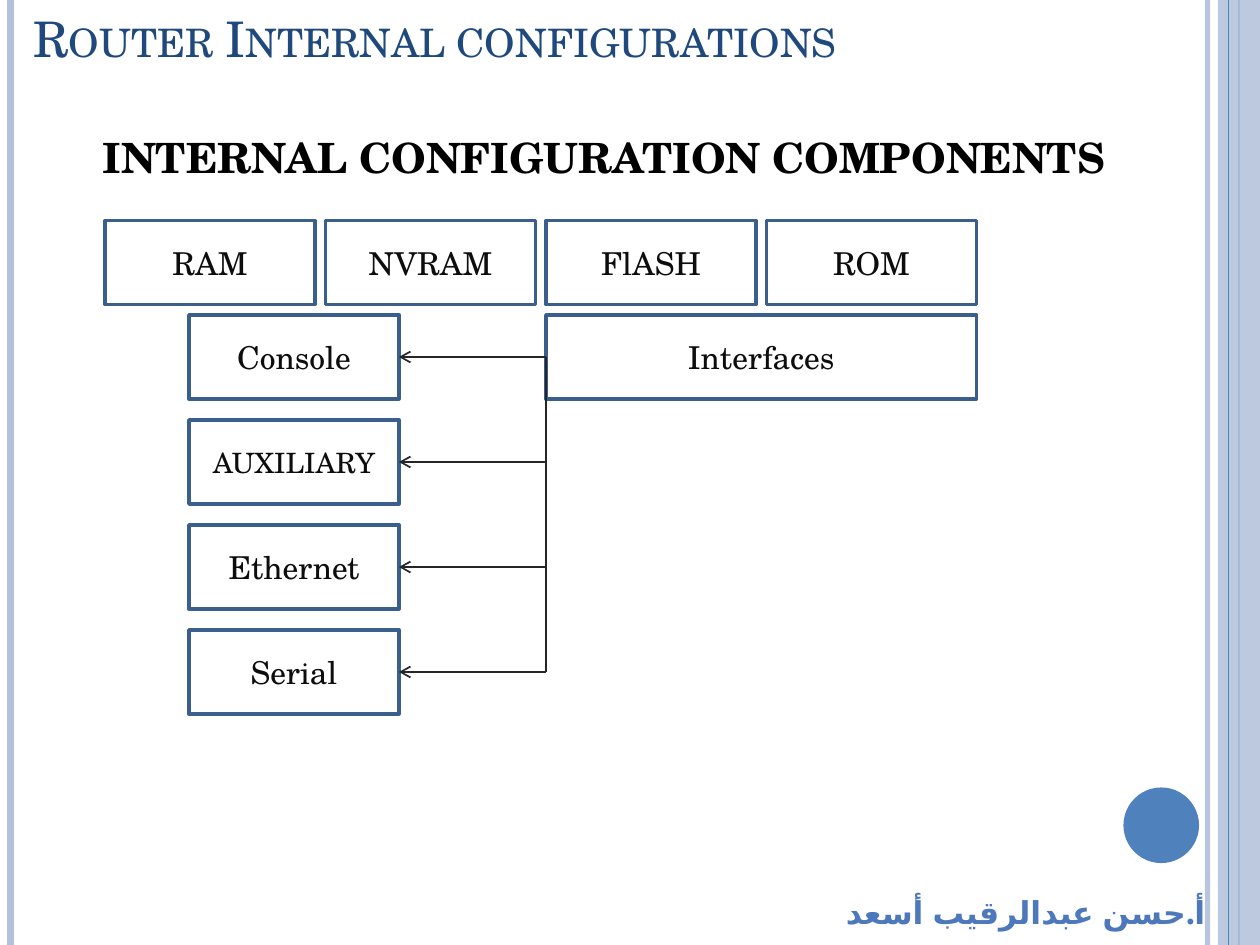
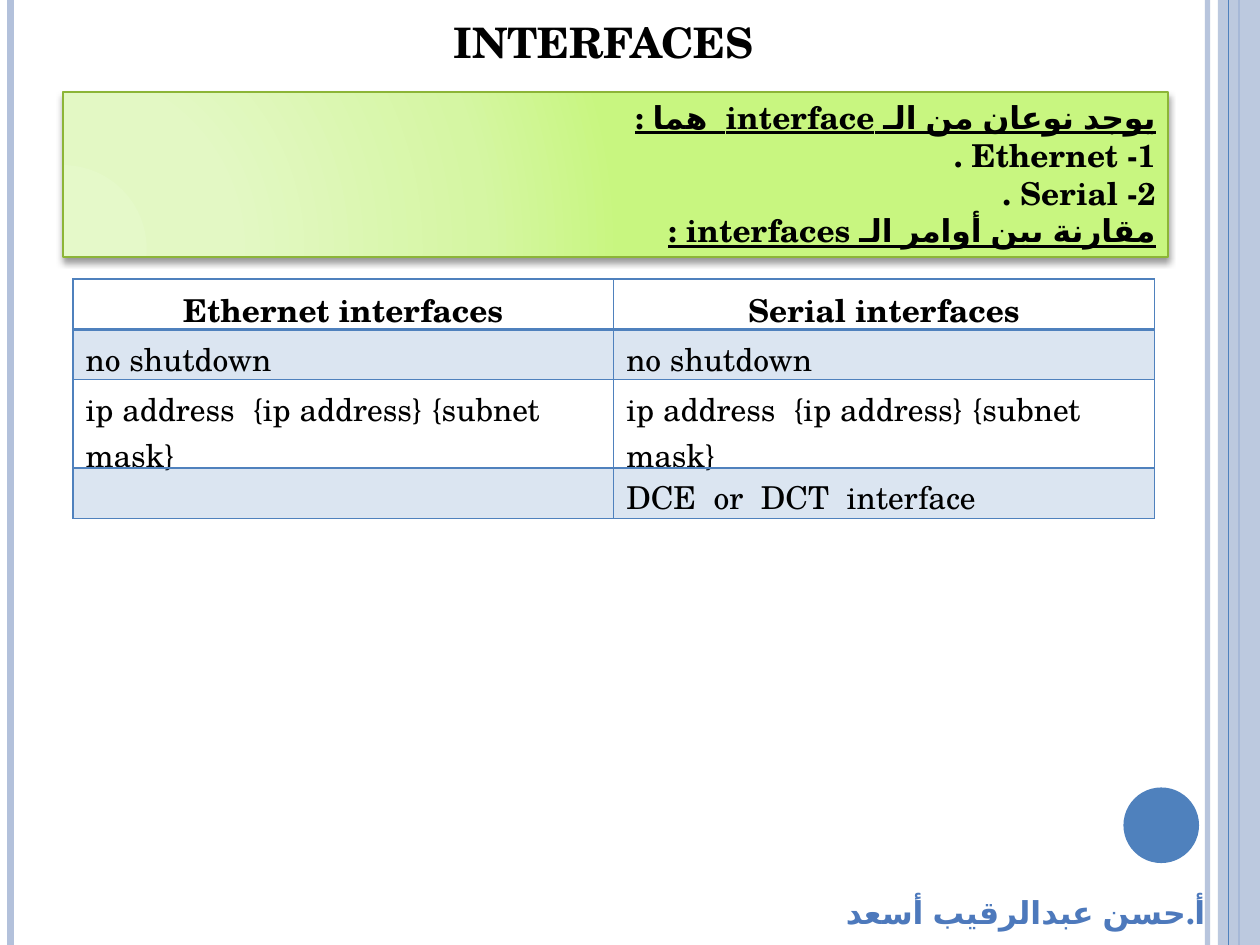
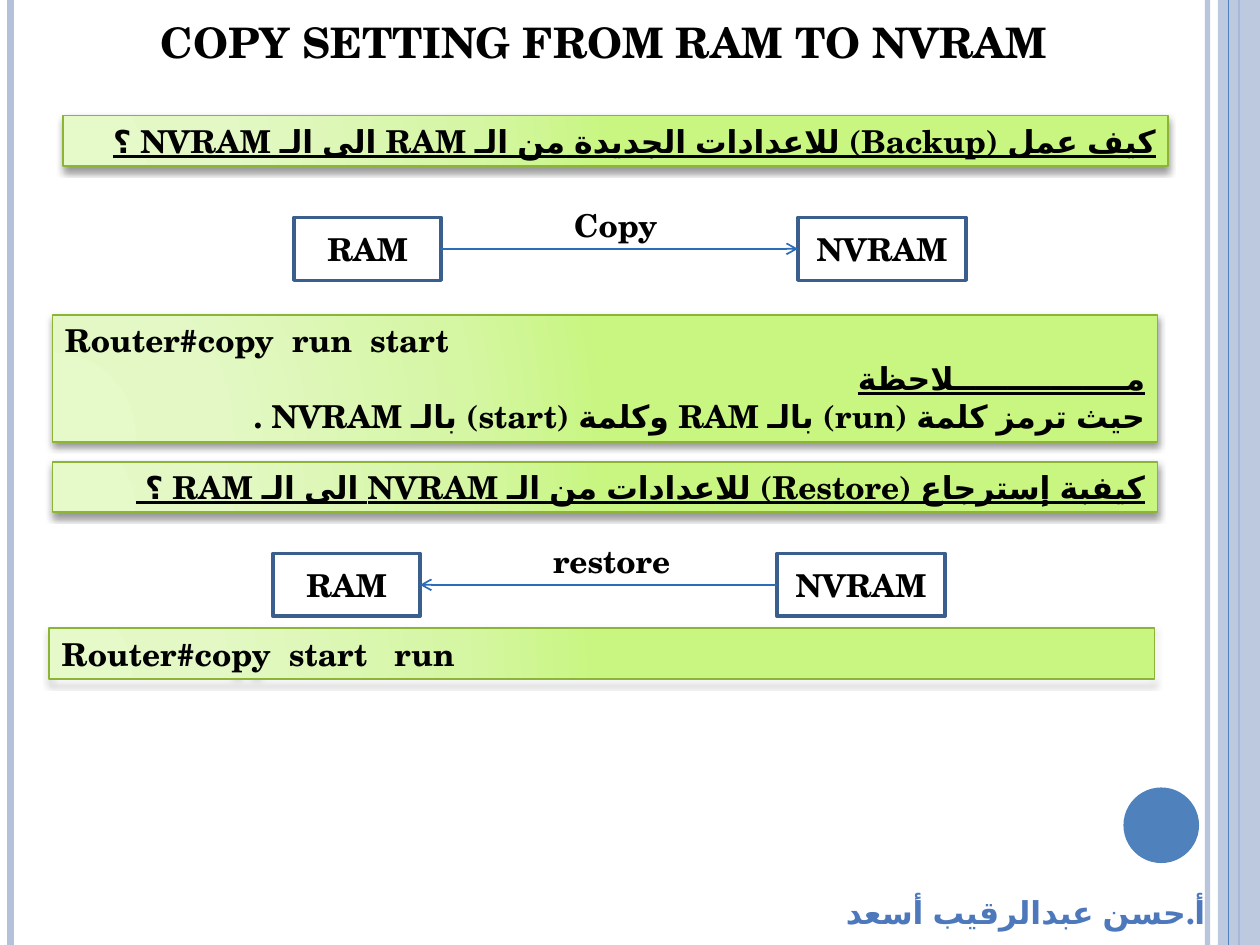
"""Build three slides on the internal configuration of a router."""
from dataclasses import dataclass
from itertools import pairwise
from typing import Any, NamedTuple, Optional

from lxml.etree import SubElement
from pptx import Presentation
from pptx.dml.color import RGBColor
from pptx.enum.shapes import MSO_CONNECTOR as Connector, MSO_SHAPE as Preset
from pptx.enum.text import MSO_ANCHOR as Anchor, MSO_AUTO_SIZE as AutoSize, PP_ALIGN as Align
from pptx.oxml import parse_xml
from pptx.oxml.ns import nsdecls, qn
from pptx.util import Emu, Inches, Pt

SLIDE_WIDTH, SLIDE_HEIGHT = Inches(10), Inches(7.5)
COLUMNS, ROWS = 120, 90
FONT = "TeX Gyre Schola"
AUTHOR = "أ.حسن عبدالرقيب أسعد"
COLORS = {
    "band": "B3C1DB",
    "accent": "4F81BD",
    "title": "1F497D",
    "black": "000000",
    "box_text": "0D0D0D",
    "box_line": "3A5F8C",
    "bus": "262626",
    "transfer": "2C6CB9",
    "author": "4D79BC",
    "panel_line": "8CB537",
}
PANEL_STOPS = {0: "E5F9C9", 30: "E3F8C4", 75: "D5F6A3", 100: "C8F680"}


class Point(NamedTuple):
    """A place on the slide grid."""

    column: float
    row: float

    def emu(self) -> tuple[Emu, Emu]:
        """Return the place as lengths."""
        return Emu(round(self.column * SLIDE_WIDTH / COLUMNS)), Emu(round(self.row * SLIDE_HEIGHT / ROWS))


class Box(NamedTuple):
    """A rectangle on the slide grid."""

    column: float
    row: float
    width: float
    height: float

    def emu(self) -> tuple[Emu, ...]:
        """Return left, top, width and height as lengths."""
        return *Point(self.column, self.row).emu(), *Point(self.width, self.height).emu()


@dataclass(frozen=True)
class TextStyle:
    """The look of a run of text."""

    size: float = 18
    color: str = "black"
    bold: bool = True


class PanelLine(NamedTuple):
    """One right-to-left paragraph of a panel."""

    text: str
    underline: bool = False
    align: Align = Align.RIGHT


class Stripe(NamedTuple):
    """A vertical line of the slide frame."""

    column: float
    color: str
    width: float
    alpha: int = 100


class Transfer(NamedTuple):
    """A labelled arrow between two memories."""

    label: str
    column: float
    row: float
    label_box: Box
    arrow: str


BODY = TextStyle()
PLAIN = TextStyle(bold=False)
HEADING = TextStyle(24)
HEADING_BOX = Box(7, 0, 101, 7)
STRIPES_BELOW_BAND = (
    Stripe(115, "band", 3, 93),
    Stripe(1, "band", 4.5),
    Stripe(118, "accent", 1.5),
)
STRIPES_ABOVE_BAND = (Stripe(117, "accent", 0.75),)


def rgb(name: str) -> RGBColor:
    """Look up a named colour."""
    return RGBColor.from_string(COLORS[name])


def set_alpha(element: Any, percent: int) -> None:
    """Make the colours inside an element partly transparent."""
    for color in element.iter(qn("a:srgbClr")):
        SubElement(color, qn("a:alpha"), val=str(percent * 1000))


def is_arabic(text: str) -> bool:
    """Tell whether a text holds Arabic letters."""
    return any("ء" <= letter <= "ي" for letter in text)


def format_paragraph(paragraph: Any, style: TextStyle, align: Align, underline: bool = False) -> None:
    """Align a paragraph and format its runs."""
    paragraph.alignment = align
    for run in paragraph.runs:
        run.font.name = FONT
        run.font.size = Pt(style.size)
        run.font.bold = style.bold
        run.font.underline = underline
        run.font.color.rgb = rgb(style.color)
        if is_arabic(run.text):
            properties = run.font._element
            properties.set("lang", "ar-SA")
            SubElement(properties, qn("a:cs"), typeface=FONT)


def write(shape: Any, text: str, style: TextStyle, align: Align = Align.CENTER,
          anchor: Anchor = Anchor.MIDDLE, wrap: bool = True) -> None:
    """Fill a shape with one formatted paragraph."""
    frame = shape.text_frame
    frame.text = text
    frame.word_wrap = wrap
    frame.auto_size = AutoSize.NONE
    frame.vertical_anchor = anchor
    format_paragraph(frame.paragraphs[0], style, align)


def add_line(shapes: Any, start: Point, end: Point, color: str, width: float,
             arrow: Optional[str] = None) -> Any:
    """Draw a straight connector, with an arrowhead if one is named."""
    connector = shapes.add_connector(Connector.STRAIGHT, *start.emu(), *end.emu())
    connector.line.color.rgb = rgb(color)
    connector.line.width = Pt(width)
    properties = connector._element.spPr
    if arrow:
        SubElement(properties.find(qn("a:ln")), qn(f"a:{arrow}"), type="arrow")
    SubElement(properties, qn("a:effectLst"))
    return connector


def add_stripes(shapes: Any, stripes: tuple[Stripe, ...]) -> None:
    """Draw vertical lines over the full height of the slide."""
    for stripe in stripes:
        line = add_line(shapes, Point(stripe.column, 0), Point(stripe.column, ROWS), stripe.color, stripe.width)
        if stripe.alpha < 100:
            set_alpha(line._element.spPr, stripe.alpha)


def add_filled(shapes: Any, preset: Preset, box: Box, color: str) -> Any:
    """Draw a filled shape without outline."""
    shape = shapes.add_shape(preset, *box.emu())
    shape.shadow.inherit = False
    shape.fill.solid()
    shape.fill.fore_color.rgb = rgb(color)
    shape.line.fill.background()
    return shape


def add_box(shapes: Any, box: Box, text: str, style: TextStyle) -> Any:
    """Draw an outlined box with centred text."""
    shape = shapes.add_shape(Preset.RECTANGLE, *box.emu())
    shape.shadow.inherit = False
    shape.fill.background()
    shape.line.color.rgb = rgb("box_line")
    shape.line.width = Pt(2)
    write(shape, text, style)
    return shape


def add_text(shapes: Any, box: Box, text: str, style: TextStyle, **layout: Any) -> Any:
    """Draw a text box with one paragraph."""
    shape = shapes.add_textbox(*box.emu())
    write(shape, text, style, **layout)
    return shape


def add_panel(shapes: Any, box: Box, lines: tuple[PanelLine, ...]) -> None:
    """Draw a green shaded panel of right-to-left paragraphs."""
    shape = shapes.add_shape(Preset.RECTANGLE, *box.emu())
    shape.line.color.rgb = rgb("panel_line")
    shape.line.width = Pt(1)
    shape.fill.gradient()
    properties = shape._element.spPr
    stops = "".join(f'<a:gs pos="{position * 1000}"><a:srgbClr val="{color}"/></a:gs>'
                    for position, color in PANEL_STOPS.items())
    properties.replace(properties.find(qn("a:gradFill")), parse_xml(
        f'<a:gradFill {nsdecls("a")} rotWithShape="1"><a:gsLst>{stops}</a:gsLst><a:path path="circle">'
        '<a:fillToRect l="5000" t="100000" r="120000" b="10000"/></a:path></a:gradFill>'))
    shape.shadow.inherit = False
    properties.find(qn("a:effectLst")).append(parse_xml(
        f'<a:outerShdw {nsdecls("a")} blurRad="{Pt(4)}" dist="{Pt(2)}" dir="5400000" rotWithShape="0">'
        '<a:srgbClr val="000000"><a:alpha val="40000"/></a:srgbClr></a:outerShdw>'))
    frame = shape.text_frame
    frame.text = "\n".join(line.text for line in lines)
    frame.word_wrap = True
    frame.auto_size = AutoSize.SHAPE_TO_FIT_TEXT
    frame.vertical_anchor = Anchor.TOP
    for paragraph, line in zip(frame.paragraphs, lines):
        format_paragraph(paragraph, BODY, line.align, line.underline)
        paragraph._p.get_or_add_pPr().set("rtl", "1")


def add_framed_slide(presentation: Any, title: str, box: Box = HEADING_BOX,
                     style: TextStyle = HEADING, align: Align = Align.CENTER) -> Any:
    """Add a slide with its title, side bands and author line."""
    slide = presentation.slides.add_slide(presentation.slide_layouts[5])
    shapes = slide.shapes
    placeholder = shapes.title
    placeholder.left, placeholder.top, placeholder.width, placeholder.height = box.emu()
    write(placeholder, title, style, align, Anchor.BOTTOM)
    add_stripes(shapes, STRIPES_BELOW_BAND)
    band = add_filled(shapes, Preset.RECTANGLE, Box(116, 0, 4, ROWS), "band")
    set_alpha(band._element.spPr, 87)
    add_stripes(shapes, STRIPES_ABOVE_BAND)
    add_filled(shapes, Preset.OVAL, Box(107, 75, 7.2, 7.2), "accent")
    add_text(shapes, Box(66, 84.5, 50, 8.5), AUTHOR, TextStyle(color="author"),
             align=Align.RIGHT, anchor=Anchor.TOP)
    return slide


def build_components(presentation: Any) -> None:
    """Show the memories and the ports of a router."""
    slide = add_framed_slide(presentation, "Router Internal configurations", Box(2, 0, 101, 7),
                             TextStyle(28, "title", False), Align.LEFT)
    shapes = slide.shapes
    shapes.title.text_frame.paragraphs[0].runs[0].font._element.set("cap", "small")
    subtitle = add_text(shapes, Box(7, 11, 101, 7), "INTERNAL CONFIGURATION COMPONENTS",
                        TextStyle(23.8), anchor=Anchor.BOTTOM)
    subtitle.text_frame.paragraphs[0].line_spacing = 0.9

    label = TextStyle(18, "box_text", False)
    for index, memory in enumerate(("RAM", "NVRAM", "FlASH", "ROM")):
        add_box(shapes, Box(10 + 21 * index, 21, 20, 8), memory, label)
    interfaces = add_box(shapes, Box(52, 30, 41, 8), "Interfaces", label)

    bus = [Point(52, 34 + 10 * index) for index in range(4)]
    for joint, port in zip(bus, ("Console", "AUXILIARY", "Ethernet", "Serial")):
        style = TextStyle(16, "box_text", False) if port == "AUXILIARY" else label
        box = add_box(shapes, Box(18, joint.row - 4, 20, 8), port, style)
        arrow = add_line(shapes, joint, Point(38, joint.row), "bus", 1, "tailEnd")
        arrow.end_connect(box, 3)
        if joint == bus[0]:
            arrow.begin_connect(interfaces, 1)
    for start, end in pairwise(bus):
        segment = add_line(shapes, start, end, "bus", 1)
        if start == bus[0]:
            segment.begin_connect(interfaces, 1)


def set_borders(cell: Any, bottom: float) -> None:
    """Draw the four borders of a table cell."""
    properties = cell._tc.get_or_add_tcPr()
    for side, width in {"L": 1, "R": 1, "T": 1, "B": bottom}.items():
        properties.append(parse_xml(
            f'<a:ln{side} {nsdecls("a")} w="{Pt(width)}"><a:solidFill>'
            f'<a:srgbClr val="{COLORS["accent"]}"/></a:solidFill></a:ln{side}>'))


def add_commands_table(shapes: Any, box: Box, rows: tuple[tuple[str, str], ...],
                       heights: tuple[float, ...]) -> None:
    """Draw the table that compares interface commands."""
    table = shapes.add_table(len(rows), len(rows[0]), *box.emu()).table
    table.first_row = table.horz_banding = False
    for index, (texts, height) in enumerate(zip(rows, heights)):
        table.rows[index].height = Inches(height)
        header = index == 0
        for cell, text in zip(table.rows[index].cells, texts):
            cell.text = text
            format_paragraph(cell.text_frame.paragraphs[0], BODY if header else PLAIN,
                             Align.CENTER if header else Align.LEFT)
            set_borders(cell, 2 if header else 1)
            if index % 2:
                cell.fill.solid()
                cell.fill.fore_color.rgb = rgb("accent")
                set_alpha(cell._tc.tcPr.find(qn("a:solidFill")), 20)
            else:
                cell.fill.background()


def build_interfaces(presentation: Any) -> None:
    """Compare Ethernet and serial interfaces."""
    shapes = add_framed_slide(presentation, "INTERFACES").shapes
    add_panel(shapes, Box(6, 8.75, 105.25, 15.75), (
        PanelLine("يوجد نوعان من الـ interface  هما :", True),
        PanelLine("1- Ethernet ."),
        PanelLine("2- Serial ."),
        PanelLine("مقارنة بين أوامر الـ interfaces :", True),
    ))
    address = "ip address  {ip address} {subnet mask}"
    add_commands_table(shapes, Box(6.95, 26.55, 103, 23), (
        ("Ethernet interfaces", "Serial interfaces"),
        ("no shutdown", "no shutdown"),
        (address, address),
        ("", "DCE  or  DCT  interface"),
    ), (0.4, 0.4, 0.7, 0.4))


def add_transfer(slide_shapes: Any, transfer: Transfer) -> None:
    """Draw a grouped pair of memories joined by an arrow."""
    shapes = slide_shapes.add_group_shape().shapes
    column, row = transfer.column, transfer.row
    ram = add_box(shapes, Box(column, row, 14, 6), "RAM", BODY)
    nvram = add_box(shapes, Box(column + 48, row, 16, 6), "NVRAM", BODY)
    arrow = add_line(shapes, Point(column + 14, row + 3), Point(column + 48, row + 3),
                     "transfer", 1, transfer.arrow)
    arrow.begin_connect(ram, 3)
    arrow.end_connect(nvram, 1)
    add_text(shapes, transfer.label_box, transfer.label, BODY,
             align=Align.LEFT, anchor=Anchor.TOP, wrap=False)


def build_copy_setting(presentation: Any) -> None:
    """Explain backup and restore between RAM and NVRAM."""
    shapes = add_framed_slide(presentation, "COPY SETTING FROM RAM TO NVRAM").shapes
    add_panel(shapes, Box(6, 11, 105.25, 4.8), (
        PanelLine("كيف عمل (Backup) للاعدادات الجديدة من الـ RAM الى الـ NVRAM ؟", True),
    ))
    add_transfer(shapes, Transfer("Copy", 28, 20.7, Box(53.5, 19, 10.5, 4.8), "tailEnd"))
    add_panel(shapes, Box(5, 30, 105.25, 12.1), (
        PanelLine("Router#copy  run  start", align=Align.LEFT),
        PanelLine("مــــــــــــــــلاحظة", True),
        PanelLine("حيث ترمز كلمة (run) بالـ RAM وكلمة (start) بالـ NVRAM ."),
    ))
    add_panel(shapes, Box(5, 44, 105.25, 4.8), (
        PanelLine("كيفبة إسترجاع (Restore) للاعدادات من الـ NVRAM الى الـ RAM ؟ ", True),
    ))
    add_transfer(shapes, Transfer("restore", 26, 52.7, Box(51.5, 51, 13.7, 4.8), "headEnd"))
    add_panel(shapes, Box(4.7, 59.85, 105.25, 4.8), (
        PanelLine("Router#copy  start   run", align=Align.LEFT),
    ))


def main() -> None:
    """Build and save the presentation."""
    presentation = Presentation()
    presentation.slide_width, presentation.slide_height = SLIDE_WIDTH, SLIDE_HEIGHT
    build_components(presentation)
    build_interfaces(presentation)
    build_copy_setting(presentation)
    presentation.save("out.pptx")


if __name__ == "__main__":
    main()
